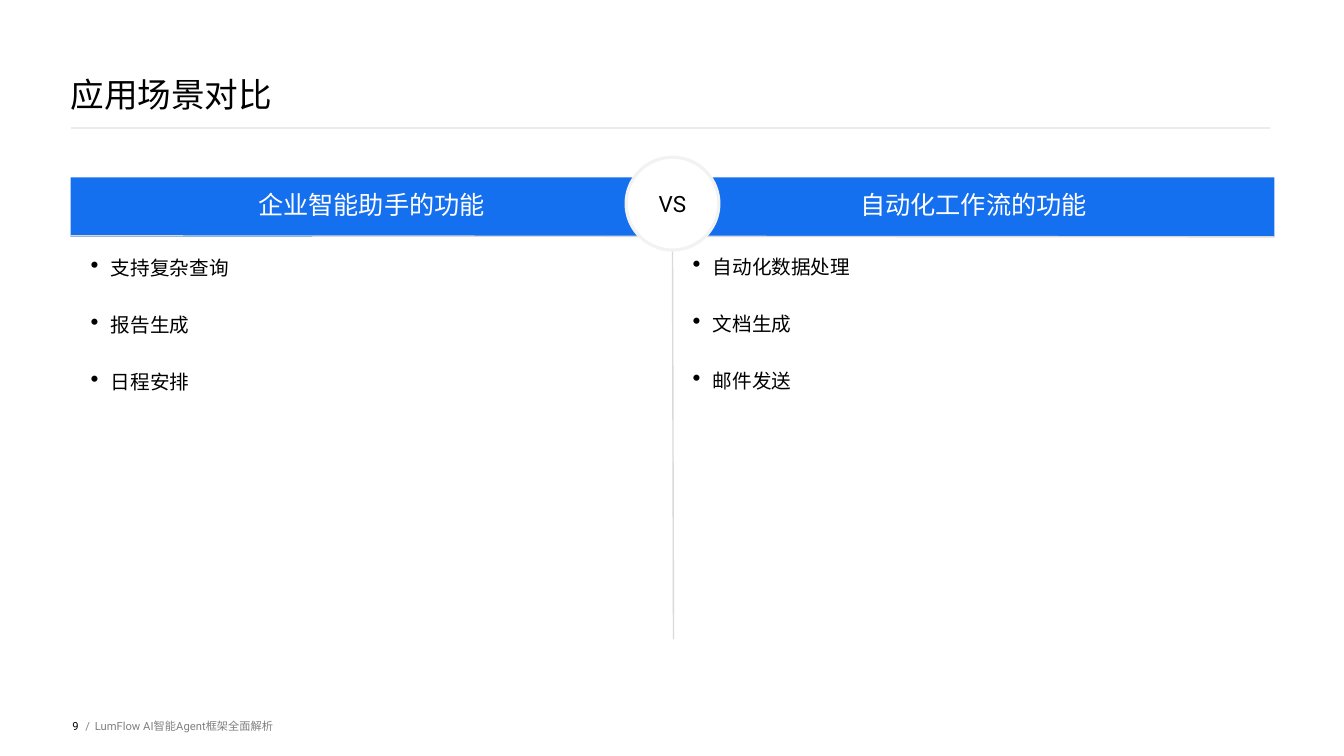
from lxml import etree
from pptx import Presentation
from pptx.dml.color import RGBColor
from pptx.enum import shapes, text
from pptx.oxml.ns import qn
from pptx.util import Inches, Pt

# Content
TITLE = "应用场景对比"
SIDES = [
    ("企业智能助手的功能", ["支持复杂查询", "报告生成", "日程安排"]),
    ("自动化工作流的功能", ["自动化数据处理", "文档生成", "邮件发送"]),
]
VERSUS = "VS"
# text, left, width, alignment, colour
FOOTER = [
    ("9", 0.47, 0.31, text.PP_ALIGN.RIGHT, "000000"),
    (" /", 0.82, 0.12, text.PP_ALIGN.LEFT, "808080"),
    ("LumFlow AI智能Agent框架全面解析", 0.94, 8.61, text.PP_ALIGN.LEFT, "808080"),
]

# Grid
WIDTH, HEIGHT = 13.33, 7.5
MARGIN, BODY = 0.7, 11.94
COLUMN = BODY / 2
BAR_TOP, BAR_HEIGHT = 1.76, 0.59
BAR_MIDDLE = BAR_TOP + BAR_HEIGHT / 2
BAR_BOTTOM = BAR_TOP + BAR_HEIGHT
CENTRE = MARGIN + COLUMN
BADGE = 0.92
HEADING_WIDTH, HEADING_HEIGHT = 4.24, 0.28
LIST_INDENT, LIST_WIDTH = 0.2, 5.27
FOOTER_HEIGHT = 0.6
FONT = "Roboto"


def colour(hex_value):
    return RGBColor.from_string(hex_value)


def write(shape, lines, size, hex_value, align=text.PP_ALIGN.LEFT,
          anchor=text.MSO_ANCHOR.MIDDLE, bullets=False):
    frame = shape.text_frame
    frame.word_wrap = True
    frame.auto_size = text.MSO_AUTO_SIZE.NONE
    frame.vertical_anchor = anchor
    frame.margin_left = frame.margin_right = 0
    frame.margin_top = frame.margin_bottom = 0
    frame.text = "\n".join(lines)
    for para in frame.paragraphs:
        para.alignment = align
        if bullets:
            para.space_after = Pt(24)
            add_bullet(para)
        for span in para.runs:
            span.font.name = FONT
            span.font.size = Pt(size)
            span.font.color.rgb = colour(hex_value)
    return frame


def add_bullet(para):
    props = para._p.get_or_add_pPr()
    props.set("marL", str(Inches(0.2)))
    props.set("indent", str(-Inches(0.2)))
    etree.SubElement(props, qn("a:buSzPct")).set("val", "120000")
    etree.SubElement(props, qn("a:buChar")).set("char", "•")


def add_box(left, top, width, height):
    return page.shapes.add_textbox(*map(Inches, (left, top, width, height)))


def add_shape(kind, left, top, width, height, fill):
    shape = page.shapes.add_shape(kind, *map(Inches, (left, top, width, height)))
    shape.shadow.inherit = False
    shape.fill.solid()
    shape.fill.fore_color.rgb = colour(fill)
    shape.line.fill.background()
    return shape


def add_line(x1, y1, x2, y2, hex_value, weight):
    line = page.shapes.add_connector(
        shapes.MSO_CONNECTOR.STRAIGHT, *map(Inches, (x1, y1, x2, y2)))
    line.line.color.rgb = colour(hex_value)
    line.line.width = Pt(weight)
    etree.SubElement(line._element.spPr, qn("a:effectLst"))
    return line


deck = Presentation()
deck.slide_width, deck.slide_height = Inches(WIDTH), Inches(HEIGHT)
page = deck.slides.add_slide(deck.slide_layouts[5])

# Title and its rule
title = page.shapes.title
title.left, title.top = Inches(MARGIN), 0
title.width, title.height = Inches(BODY), Inches(1.13)
write(title, [TITLE], 24, "000000", anchor=text.MSO_ANCHOR.BOTTOM)
add_line(MARGIN, 1.27, 12.6, 1.27, "EAECF0", 2)

# Header bar and dividers
bar = add_shape(shapes.MSO_SHAPE.RECTANGLE, MARGIN, BAR_TOP, BODY, BAR_HEIGHT, "1570EF")
divider = add_line(CENTRE, BAR_BOTTOM, 6.68, 6.34, "D9D9D9", 1)
divider.begin_connect(bar, 2)
add_line(MARGIN, 2.34, MARGIN + BODY, 2.35, "D9D9D9", 1)

# The two compared sides
for index, (heading, points) in enumerate(SIDES):
    left = MARGIN + index * COLUMN
    heading_box = add_box(left + (COLUMN - HEADING_WIDTH) / 2,
                          BAR_MIDDLE - HEADING_HEIGHT / 2,
                          HEADING_WIDTH, HEADING_HEIGHT)
    frame = write(heading_box, [heading], 18, "FFFFFF",
                  text.PP_ALIGN.CENTER, text.MSO_ANCHOR.TOP)
    frame.paragraphs[0].line_spacing = 0.9
    list_box = add_box(left + LIST_INDENT, 2.54 - 0.01 * index, LIST_WIDTH, 3.65)
    write(list_box, points, 14, "000000", anchor=text.MSO_ANCHOR.TOP, bullets=True)

# Badge between the sides
badge = add_shape(shapes.MSO_SHAPE.OVAL, CENTRE - BADGE / 2, 2.02 - BADGE / 2,
                  BADGE, BADGE, "FFFFFF")
badge.line.color.rgb = colour("F2F2F2")
badge.line.width = Pt(2.25)
write(badge, [VERSUS], 16, "000000", text.PP_ALIGN.CENTER)

# Footer
for words, left, width, align, hex_value in FOOTER:
    footer_box = add_box(left, HEIGHT - FOOTER_HEIGHT, width, FOOTER_HEIGHT)
    write(footer_box, [words], 8, hex_value, align)

deck.save("out.pptx")
